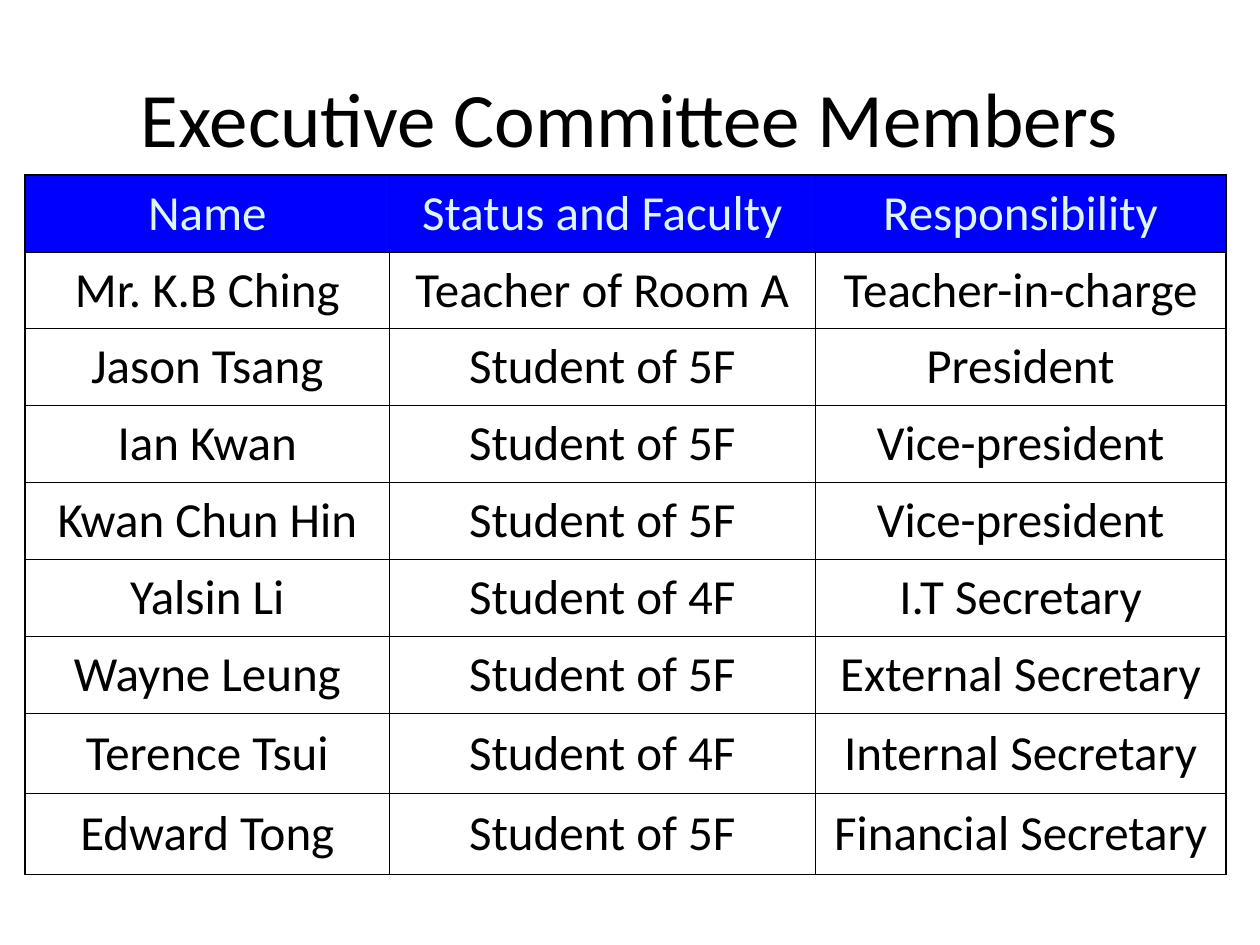
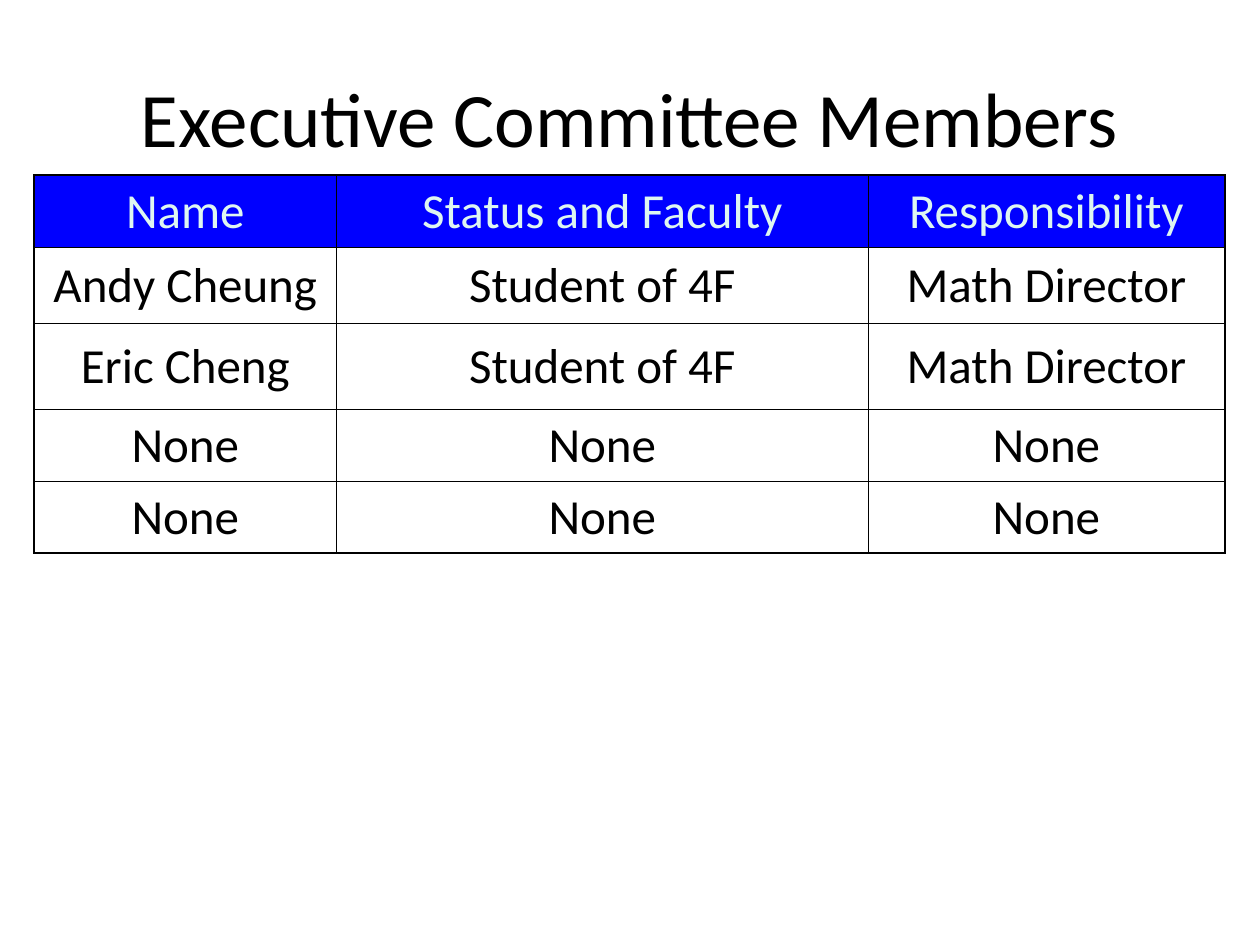
"""Build the two slides that list the executive committee members."""
from lxml import etree
from pptx import Presentation, util as u
from pptx.dml.color import RGBColor
from pptx.enum import text as t
from pptx.oxml import ns

HEADINGS = ("Name", "Status and Faculty", "Responsibility")
OFFICERS = [
    ("Mr. K.B Ching", "Teacher of Room A", "Teacher-in-charge"),
    ("Jason Tsang", "Student of 5F", "President"),
    ("Ian Kwan", "Student of 5F", "Vice-president"),
    ("Kwan Chun Hin", "Student of 5F", "Vice-president"),
    ("Yalsin Li", "Student of 4F", "I.T Secretary"),
    ("Wayne Leung", "Student of 5F", "External Secretary"),
    ("Terence Tsui", "Student of 4F", "Internal Secretary"),
    ("Edward Tong", "Student of 5F", "Financial Secretary"),
]
DIRECTORS = [
    ("Andy Cheung", "Student of 4F", "Math Director"),
    ("Eric Cheng", "Student of 4F", "Math Director"),
    ("None",) * 3,
    ("None",) * 3,
]


def colour(code):
    return RGBColor.from_string(code)


def write(frame, content, size=28, ink="000000", font="Calibri", align=t.PP_ALIGN.CENTER):
    frame.word_wrap = True
    line = frame.paragraphs[0]
    line.alignment = align
    run = line.add_run()
    run.text = content
    run.font.name = font
    run.font.size = u.Pt(size)
    run.font.color.rgb = colour(ink)


def draw_border(cell, side, points, ink):
    edge = etree.SubElement(cell._tc.get_or_add_tcPr(), ns.qn(f"a:ln{side}"), w=str(u.Pt(points)))
    paint = etree.SubElement(edge, ns.qn("a:solidFill"))
    etree.SubElement(paint, ns.qn("a:srgbClr"), val=ink)


class CommitteeDeck:
    """Hold the shared style, a 100 by 75 grid and the current slide."""

    INK, HEADER_INK, HEADER_FILL = "000000", "DEF6F1", "0000FF"
    OUTER, INNER, FAINT = 1.08, 0.45, 0.11
    COLUMNS, ROWS = 100, 75
    TABLE_TOP = 13.9

    def __init__(self):
        self.deck = Presentation()
        self.deck.slide_width, self.deck.slide_height = u.Inches(10), u.Inches(7.5)
        self.slide = None

    def across(self, columns):
        return round(self.deck.slide_width * columns / self.COLUMNS)

    def down(self, rows):
        return round(self.deck.slide_height * rows / self.ROWS)

    def new_slide(self, title):
        self.slide = self.deck.slides.add_slide(self.deck.slide_layouts[6])
        heading = self.slide.shapes.add_textbox(
            self.across(5), self.down(3), self.across(90), self.down(12.5))
        heading.text_frame.vertical_anchor = t.MSO_ANCHOR.MIDDLE
        write(heading.text_frame, title, size=44, ink=self.INK)

    def members(self, people, left, widths, heights, rules):
        listing = [HEADINGS, *people]
        roster = self.slide.shapes.add_table(
            len(listing), len(widths), self.across(left), self.down(self.TABLE_TOP),
            self.across(sum(widths)), self.down(sum(heights))).table
        roster.first_row = roster.horz_banding = False
        for column, width in zip(roster.columns, widths):
            column.width = self.across(width)
        for row, height in zip(roster.rows, heights):
            row.height = self.down(height)

        across_rules = {0: self.OUTER, **rules}
        down_rules = {0: self.OUTER, len(widths): self.OUTER}
        for r, entry in enumerate(listing):
            for c, content in enumerate(entry):
                self.member_cell(roster.cell(r, c), content, r == 0, {
                    "L": down_rules.get(c, self.INNER),
                    "R": down_rules.get(c + 1, self.INNER),
                    "T": across_rules.get(r, self.INNER),
                    "B": across_rules.get(r + 1, self.INNER),
                })

    def member_cell(self, cell, content, is_header, borders):
        cell.vertical_anchor = t.MSO_ANCHOR.MIDDLE
        for side, points in borders.items():
            draw_border(cell, side, points, self.INK)
        if is_header:
            cell.fill.solid()
            cell.fill.fore_color.rgb = colour(self.HEADER_FILL)
        else:
            cell.fill.background()
        write(cell.text_frame, content, ink=self.HEADER_INK if is_header else self.INK)


def main():
    committee = CommitteeDeck()
    title = "Executive Committee Members"
    committee.new_slide(title)
    committee.members(OFFICERS, 2, (28.9, 33.8, 32.6), [6.1] * 7 + [6.4] * 2,
                      {6: committee.FAINT, 9: committee.FAINT})
    committee.new_slide(title)
    committee.members(DIRECTORS, 2.7, (24, 42.2, 28.3), [5.7, 6.1, 6.8, 5.7, 5.7],
                      {5: committee.OUTER})
    committee.deck.save("out.pptx")


if __name__ == "__main__":
    main()
